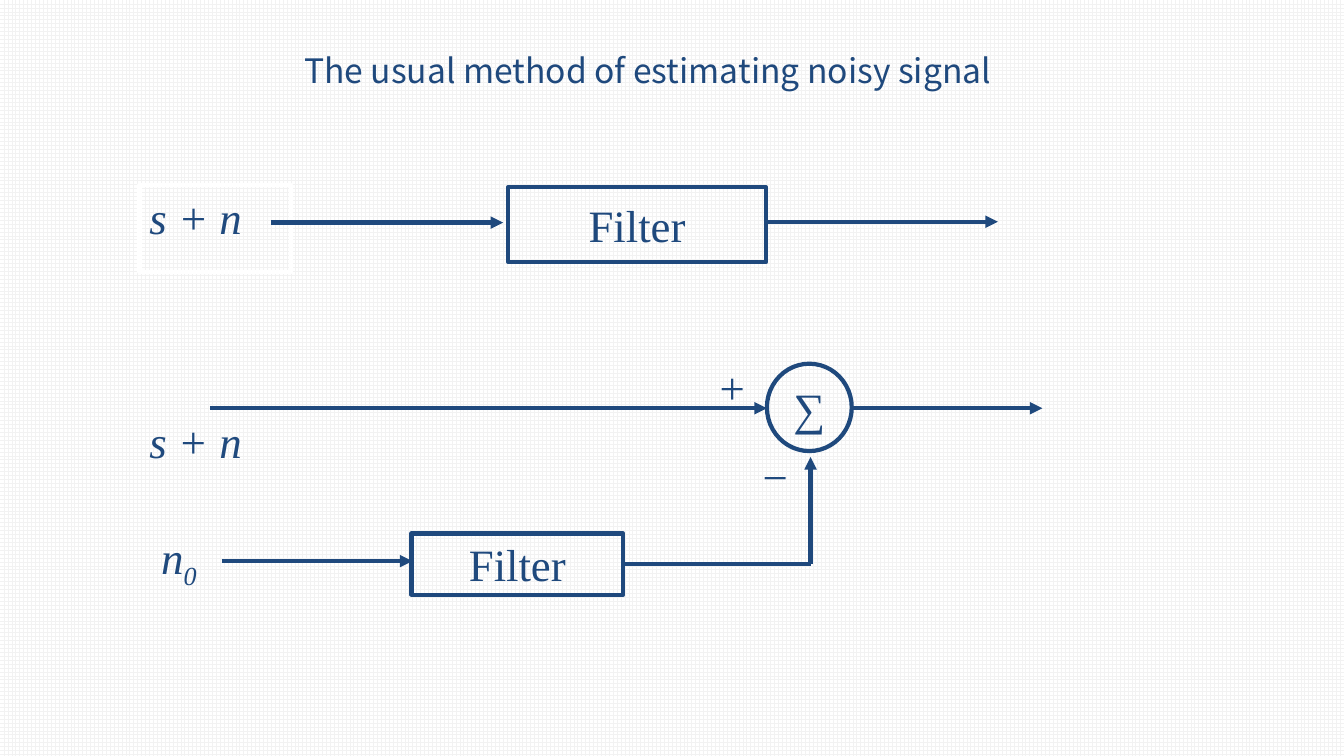
import lxml.etree
import pptx
import pptx.util
import pptx.dml.color
import pptx.enum.dml
import pptx.enum.shapes
import pptx.enum.text
import pptx.oxml.ns

COLORS = {"ink": "1F497D", "frame": "FFFFFF", "grid": "F2F2F2", "paper": "FFFFFF"}
SERIF, SANS = "Times New Roman", "Noto Sans CJK SC"
ALIGN, ANCHOR = pptx.enum.text.PP_ALIGN, pptx.enum.text.MSO_ANCHOR
SHAPE = pptx.enum.shapes.MSO_SHAPE
LINE_WIDTH = pptx.util.Pt(3)
rgb = {name: pptx.dml.color.RGBColor.from_string(code) for name, code in COLORS.items()}

deck = pptx.Presentation()
deck.slide_width, deck.slide_height = pptx.util.Inches(13.33), pptx.util.Inches(7.5)
# The slide is a grid of 16 columns by 9 rows; all places below count in cells.
column, row = deck.slide_width / 16, deck.slide_height / 9


def cells(x, y):
    """Turn a column and a row of the grid into slide lengths."""
    return round(x * column), round(y * row)


def write(frame, text, size=32, font=SERIF, italic=False, subscript="",
          align=ALIGN.LEFT, anchor=ANCHOR.TOP, wrap=True):
    frame.word_wrap = wrap
    frame.auto_size = pptx.enum.text.MSO_AUTO_SIZE.NONE
    frame.vertical_anchor = anchor
    paragraph = frame.paragraphs[0]
    paragraph.alignment = align
    for part in filter(None, (text, subscript)):
        run = paragraph.add_run()
        run.text = part
        run.font.size = pptx.util.Pt(size)
        run.font.name = font
        run.font.italic = italic
        run.font.color.rgb = rgb["ink"]
    if subscript:
        run.font._element.set("baseline", "-25000")


slide = deck.slides.add_slide(deck.slide_layouts[5])
paper = slide.background.fill
paper.patterned()
paper.pattern = pptx.enum.dml.MSO_PATTERN.LARGE_GRID
paper.fore_color.rgb, paper.back_color.rgb = rgb["grid"], rgb["paper"]

title = slide.shapes.title
title.left, title.top = cells(3.5, 0.53)
title.width, title.height = cells(8.78, 0.6)
write(title.text_frame, "The usual method of estimating noisy signal",
      size=24, font=SANS, wrap=False)

centred = {"align": ALIGN.CENTER, "anchor": ANCHOR.MIDDLE}
italic = {"italic": True}
one_input = {
    "blocks": [
        (SHAPE.RECTANGLE, 1.66, 2.2, 1.8, 1.04, "frame", "s + n", italic),
        (SHAPE.RECTANGLE, 6.05, 2.23, 3.07, 0.89, "ink", "Filter", centred),
    ],
    "labels": [],
    "wires": [
        (9.12, 2.64, 11.88, 2.64, True),
        (3.23, 2.65, 5.99, 2.65, True),
    ],
}
noise_reference = {
    "blocks": [
        (SHAPE.OVAL, 9.13, 4.33, 1.01, 1.04, "ink", "∑", centred),
        (SHAPE.RECTANGLE, 4.9, 6.35, 2.52, 0.73, "ink", "Filter", centred),
    ],
    "labels": [
        (8.96, 5.28, 0.68, 0.85, "−", {}),
        (1.8, 6.25, 1, 0.72, "n", {"italic": True, "subscript": "0"}),
        (1.66, 4.86, 1.48, 0.85, "s + n", italic),
        (8.45, 4.22, 0.68, 0.85, "+", {}),
    ],
    "wires": [
        (7.43, 6.71, 9.65, 6.71, False),
        (9.65, 6.72, 9.65, 5.44, True),
        (2.5, 4.86, 9.13, 4.86, True),
        (10.15, 4.86, 12.41, 4.86, True),
        (2.64, 6.68, 4.91, 6.68, True),
    ],
}

for diagram in (one_input, noise_reference):
    parts = slide.shapes.add_group_shape().shapes

    for x, y, width, height, text, style in diagram["labels"]:
        label = parts.add_textbox(*cells(x, y), *cells(width, height))
        write(label.text_frame, text, **style)

    for outline, x, y, width, height, color, text, style in diagram["blocks"]:
        block = parts.add_shape(outline, *cells(x, y), *cells(width, height))
        block.shadow.inherit = False
        block.fill.background()
        block.line.color.rgb = rgb[color]
        block.line.width = LINE_WIDTH
        write(block.text_frame, text, **style)

    for x1, y1, x2, y2, has_arrow in diagram["wires"]:
        wire = parts.add_connector(pptx.enum.shapes.MSO_CONNECTOR.STRAIGHT,
                                   *cells(x1, y1), *cells(x2, y2))
        wire.line.color.rgb = rgb["ink"]
        wire.line.width = LINE_WIDTH
        properties = wire._element.spPr
        if has_arrow:
            lxml.etree.SubElement(properties.find(pptx.oxml.ns.qn("a:ln")),
                                  pptx.oxml.ns.qn("a:tailEnd"), type="triangle")
        lxml.etree.SubElement(properties, pptx.oxml.ns.qn("a:effectLst"))

deck.save("out.pptx")
